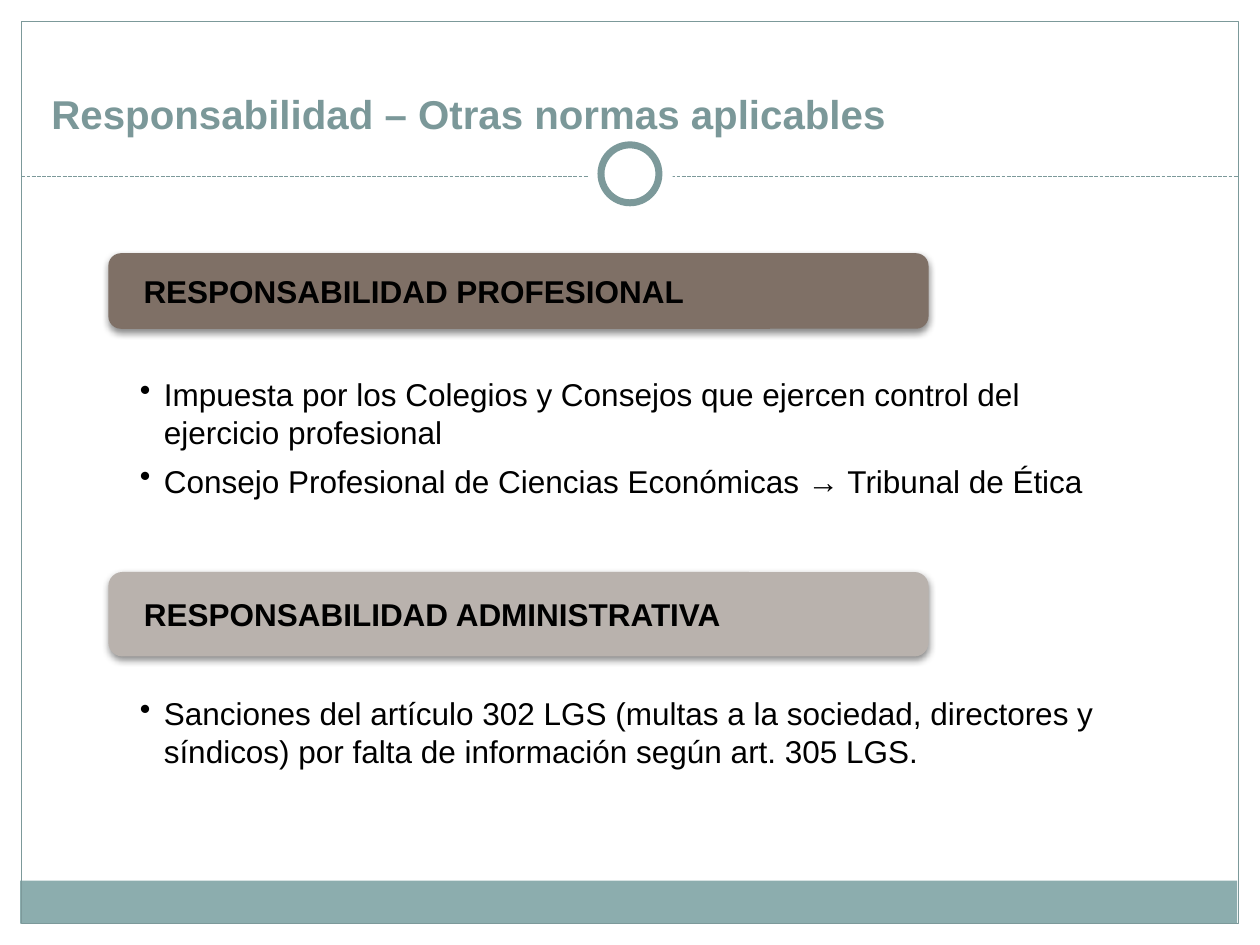
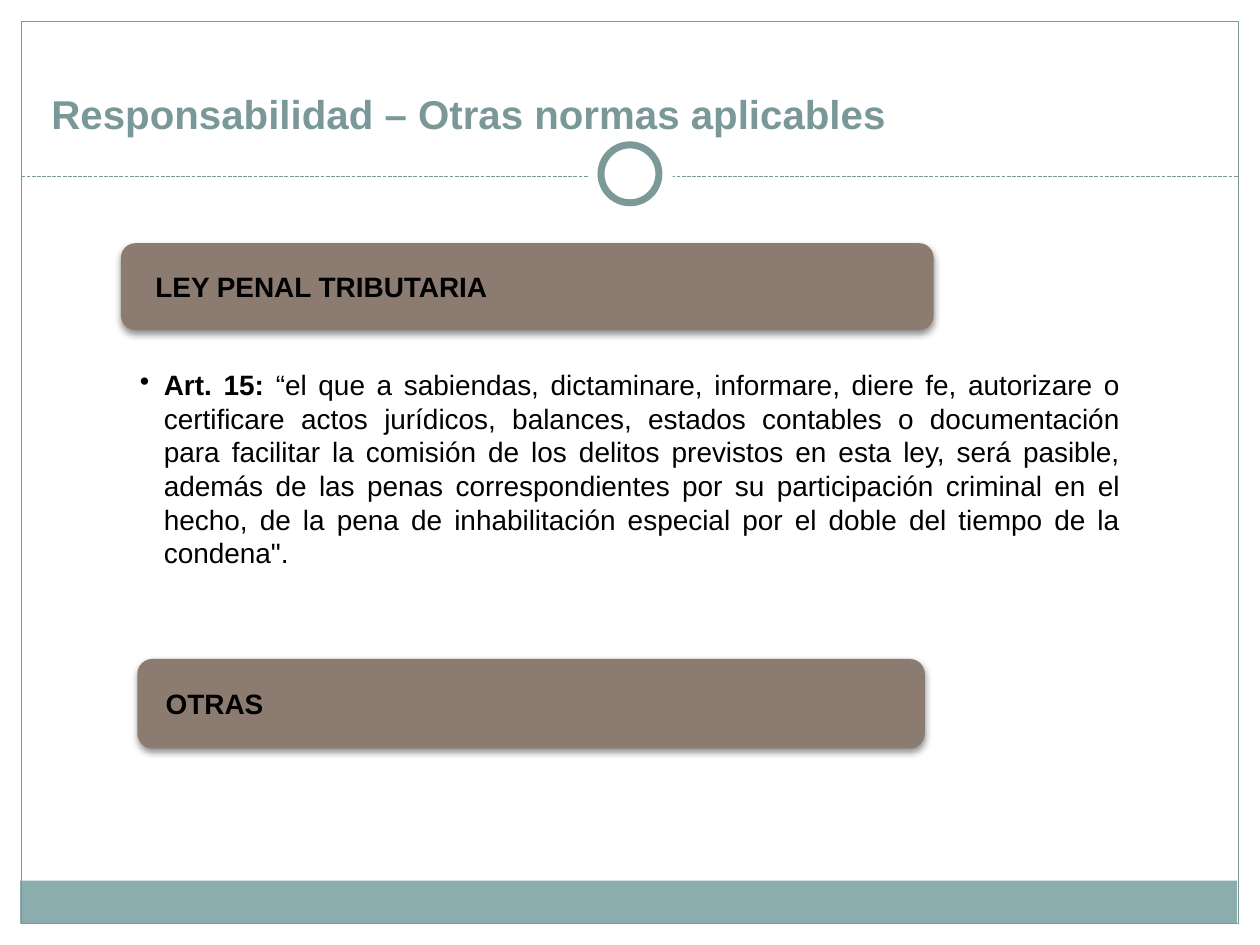
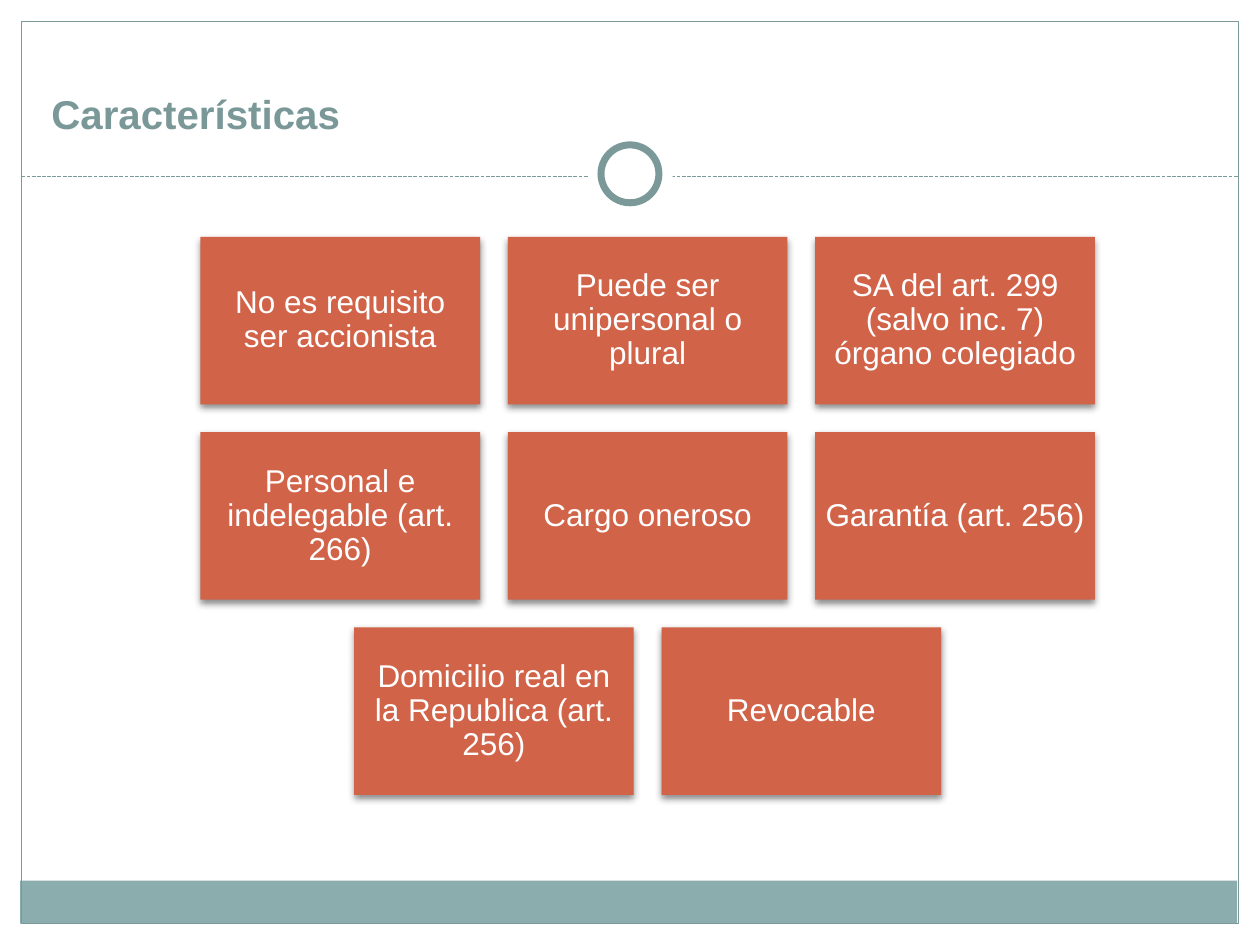
from lxml.etree import SubElement
from pptx import Presentation
from pptx.dml.color import RGBColor
from pptx.enum.dml import MSO_LINE
from pptx.enum.shapes import MSO_CONNECTOR, MSO_SHAPE
from pptx.enum.text import MSO_ANCHOR, PP_ALIGN
from pptx.oxml.ns import qn
from pptx.util import Inches, Pt

COLORS = {
    "white": "FFFFFF",
    "black": "000000",
    "band": "8CADAE",
    "frame": "7C999A",
    "title": "7B9899",
    "dark_brown": "7F7066",
    "brown": "8C7B70",
    "light_brown": "B9B2AD",
    "orange": "D16349",
}
FONT = "Arial"


def rgb(name):
    return RGBColor.from_string(COLORS[name])


def write(shape, paragraphs, size=18, color="black", bold=False, align=PP_ALIGN.LEFT,
          anchor=MSO_ANCHOR.MIDDLE, insets=(0.07, 0.07, 0.07, 0.07),
          bullet=False, space_after=0, line_spacing=None):
    frame = shape.text_frame
    frame.word_wrap = True
    frame.vertical_anchor = anchor
    (frame.margin_left, frame.margin_top,
     frame.margin_right, frame.margin_bottom) = map(Inches, insets)
    for index, runs in enumerate(paragraphs):
        paragraph = frame.add_paragraph() if index else frame.paragraphs[0]
        if bullet:
            properties = paragraph._p.get_or_add_pPr()
            properties.set("marL", str(Inches(0.19)))
            properties.set("indent", str(-Inches(0.19)))
            SubElement(properties, qn("a:buChar")).set("char", "•")
        paragraph.alignment = align
        paragraph.space_after = Pt(space_after)
        if line_spacing:
            paragraph.line_spacing = line_spacing
        for text, run_bold in [(runs, bold)] if isinstance(runs, str) else runs:
            run = paragraph.add_run()
            run.text = text
            run.font.name = FONT
            run.font.size = Pt(size)
            run.font.bold = run_bold
            run.font.color.rgb = rgb(color)


class Deck:
    def __init__(self):
        self.presentation = Presentation()
        self.presentation.slide_width = Inches(10)
        self.presentation.slide_height = Inches(7.5)
        self.slide = None

    def new_slide(self, title):
        self.slide = self.presentation.slides.add_slide(self.presentation.slide_layouts[6])
        self.shape(MSO_SHAPE.RECTANGLE, 0.16, 6.99, 9.66, 0.34, fill="band")
        self.shape(MSO_SHAPE.RECTANGLE, 0.17, 0.17, 9.66, 7.16, line="frame")
        self.divider(0.17, 9.83, 1.4)
        self.shape(MSO_SHAPE.OVAL, 4.67, 1.05, 0.67, 0.67, fill="white")
        self.shape(MSO_SHAPE.OVAL, 4.77, 1.15, 0.46, 0.46, fill="white",
                   line="frame", line_width=4)
        heading = self.slide.shapes.add_textbox(
            Inches(0.31), Inches(0.31), Inches(9.33), Inches(0.83))
        write(heading, [title], size=23, color="title", bold=True,
              anchor=MSO_ANCHOR.BOTTOM, insets=(0.1, 0.05, 0.1, 0.05))

    def shape(self, kind, left, top, width, height, fill=None, line=None,
              line_width=0.75, shadow=False):
        shape = self.slide.shapes.add_shape(
            kind, Inches(left), Inches(top), Inches(width), Inches(height))
        shape.shadow.inherit = False
        if fill:
            shape.fill.solid()
            shape.fill.fore_color.rgb = rgb(fill)
        else:
            shape.fill.background()
        if line:
            shape.line.color.rgb = rgb(line)
            shape.line.width = Pt(line_width)
        else:
            shape.line.fill.background()
        if shadow:
            self.cast_shadow(shape)
        return shape

    def cast_shadow(self, shape):
        effects = shape._element.spPr.find(qn("a:effectLst"))
        outer = SubElement(effects, qn("a:outerShdw"), blurRad=str(Pt(4)), dist=str(Pt(2)),
                           dir="5400000", rotWithShape="0")
        tint = SubElement(outer, qn("a:srgbClr"), val=COLORS["black"])
        SubElement(tint, qn("a:alpha"), val="45000")

    def divider(self, start, end, top):
        line = self.slide.shapes.add_connector(
            MSO_CONNECTOR.STRAIGHT, Inches(start), Inches(top), Inches(end), Inches(top))
        line.line.color.rgb = rgb("frame")
        line.line.width = Pt(0.75)
        line.line.dash_style = MSO_LINE.SQUARE_DOT
        SubElement(line._element.spPr, qn("a:effectLst"))

    def banner(self, text, left, top, width, height, fill, size=18, indent=0.25):
        banner = self.shape(MSO_SHAPE.ROUNDED_RECTANGLE, left, top, width, height,
                            fill=fill, shadow=True)
        write(banner, [text], size=size, bold=True, insets=(indent, 0, indent, 0))

    def panel(self, paragraphs, left, top, width, height, top_inset=0.52, **style):
        panel = self.shape(MSO_SHAPE.RECTANGLE, left, top, width, height, fill="white")
        write(panel, paragraphs, anchor=MSO_ANCHOR.TOP, bullet=True, space_after=6,
              insets=(0.72, top_inset, 0.72, 0.12), **style)

    def card(self, text, left, top, width, height):
        card = self.shape(MSO_SHAPE.RECTANGLE, left, top, width, height,
                          fill="orange", shadow=True)
        write(card, [text], color="white", align=PP_ALIGN.CENTER, line_spacing=0.9)

    def card_rows(self, rows, center=5.14, top=1.88, width=2.22, height=1.33, gap=0.22):
        for row_index, row in enumerate(rows):
            row_width = len(row) * (width + gap) - gap
            for column, text in enumerate(row):
                self.card(text, center - row_width / 2 + column * (width + gap),
                          top + row_index * (height + gap), width, height)


def main():
    deck = Deck()
    norms_title = "Responsabilidad – Otras normas aplicables"

    deck.new_slide(norms_title)
    deck.panel([
        "Impuesta por los Colegios y Consejos que ejercen control del ejercicio profesional",
        "Consejo Profesional de Ciencias Económicas → Tribunal de Ética",
    ], 0.39, 2.46, 9.3, 1.62)
    deck.banner("RESPONSABILIDAD PROFESIONAL", 0.86, 2.01, 6.51, 0.6, "dark_brown")
    deck.panel([
        "Sanciones del artículo 302 LGS (multas a la sociedad, directores y síndicos) "
        "por falta de información según art. 305 LGS.",
    ], 0.39, 4.99, 9.3, 1.52)
    deck.banner("RESPONSABILIDAD ADMINISTRATIVA", 0.86, 4.54, 6.51, 0.67, "light_brown")

    deck.new_slide(norms_title)
    deck.panel([[
        ("Art. 15: ", True),
        ("“el que a sabiendas, dictaminare, informare, diere fe, autorizare o certificare "
         "actos jurídicos, balances, estados contables o documentación para facilitar la "
         "comisión de los delitos previstos en esta ley, será pasible, además de las penas "
         "correspondientes por su participación criminal en el hecho, de la pena de "
         "inhabilitación especial por el doble del tiempo de la condena\".", False),
    ]], 0.39, 2.21, 9.22, 2.36, top_inset=0.71, size=16, align=PP_ALIGN.JUSTIFY)
    deck.banner("LEY PENAL TRIBUTARIA", 0.96, 1.93, 6.45, 0.69, "brown", size=16, indent=0.24)
    deck.banner("OTRAS", 1.09, 5.23, 6.25, 0.71, "brown", size=16, indent=0.19)

    deck.new_slide("Características")
    deck.card_rows([
        ["No es requisito ser accionista", "Puede ser unipersonal o plural",
         "SA del art. 299 (salvo inc. 7) órgano colegiado"],
        ["Personal e indelegable (art. 266)", "Cargo oneroso", "Garantía (art. 256)"],
        ["Domicilio real en la Republica (art. 256)", "Revocable"],
    ])

    deck.presentation.save("out.pptx")


if __name__ == "__main__":
    main()
